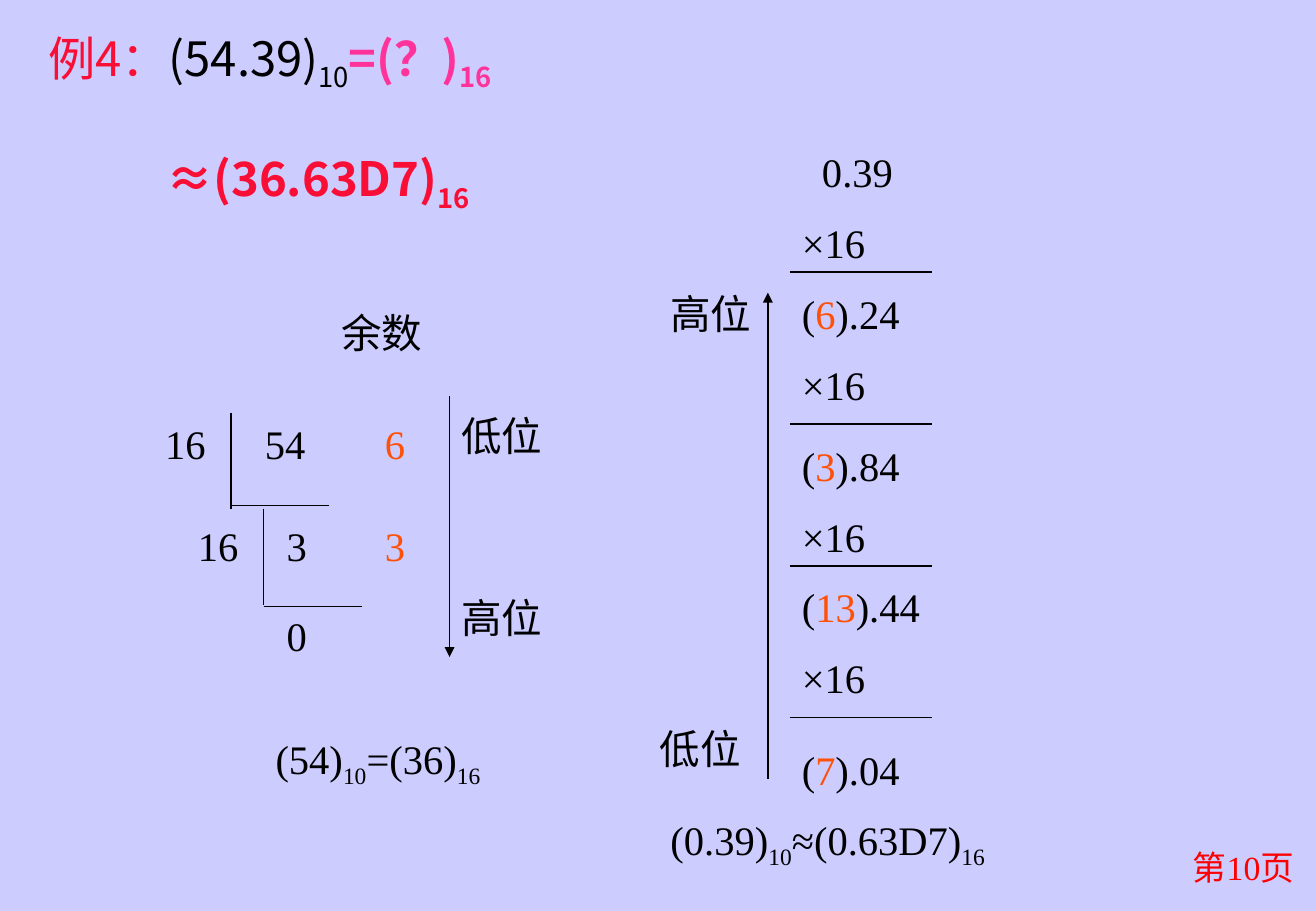
from lxml.etree import SubElement
from pptx import Presentation
from pptx.dml.color import RGBColor
from pptx.enum.text import MSO_ANCHOR, PP_ALIGN
from pptx.enum.shapes import MSO_CONNECTOR
from pptx.oxml.ns import qn
from pptx.util import Pt

COLORS = {"background": "CCCCFF", "ink": "000000", "digit": "FF5008",
          "title": "F90F36", "question": "FF3399", "page": "FF0000"}
SERIF = "Times New Roman"
SANS = "Noto Sans CJK SC"


def write_span(para, text, size=24, font=SERIF, color="ink", bold=False, sub=False):
    span = para.add_run()
    span.text = text
    span.font.size = Pt(size)
    span.font.name = font
    span.font.bold = bold
    span.font.color.rgb = RGBColor.from_string(COLORS[color])
    properties = span._r.get_or_add_rPr()
    SubElement(properties, qn("a:ea")).set("typeface", SANS)
    if sub:
        properties.set("baseline", "-25000")


class Board:
    """Holds the slide and the style shared by its texts and lines."""

    def __init__(self, page):
        self.page = page
        fill = page.background.fill
        fill.solid()
        fill.fore_color.rgb = RGBColor.from_string(COLORS["background"])

    def text(self, left, top, width, *paragraphs, height=36, align=PP_ALIGN.LEFT,
             anchor=MSO_ANCHOR.TOP, indent=0, **style):
        """Each paragraph is a string or a list of (string, format) spans."""
        box = self.page.shapes.add_textbox(Pt(left), Pt(top), Pt(width), Pt(height))
        frame = box.text_frame
        frame.word_wrap = True
        frame.vertical_anchor = anchor
        for index, spans in enumerate(paragraphs):
            para = frame.add_paragraph() if index else frame.paragraphs[0]
            para.alignment = align
            if index:
                para.space_before = Pt(13.3)
            elif indent:
                para._p.get_or_add_pPr().set("marL", str(Pt(indent)))
            if isinstance(spans, str):
                spans = [(spans, {})]
            for text, changes in spans:
                write_span(para, text, **{**style, **changes})

    def line(self, x1, y1, x2, y2, arrow=False):
        line = self.page.shapes.add_connector(
            MSO_CONNECTOR.STRAIGHT, Pt(x1), Pt(y1), Pt(x2), Pt(y2))
        line.line.width = Pt(0.75)
        line.line.color.rgb = RGBColor.from_string(COLORS["ink"])
        if arrow:
            SubElement(line.line._get_or_add_ln(), qn("a:tailEnd")).set("type", "triangle")
        SubElement(line._element.spPr, qn("a:effectLst"))


def draw_headings(board):
    sub = {"sub": True}
    question = {"color": "question", "bold": True}
    board.text(21.6, 15.8, 378.7,
               [("例4：", {"color": "title"}), ("(54.39)", {}), ("10", sub),
                ("=(？)", question), ("16", {**question, **sub})],
               height=41, anchor=MSO_ANCHOR.MIDDLE, size=28, font=SANS)
    board.text(91.4, 85, 200.2, [("≈(36.63D7)", {}), ("16", sub)],
               height=41, size=28, font=SANS, color="title", bold=True)
    board.text(156.2, 431.3, 182.2,
               [("(54)", {}), ("10", sub), ("=(36)", {}), ("16", sub)])
    board.text(390.2, 479.5, 234,
               [("(0.39)", {}), ("10", sub), ("≈(0.63D7)", {}), ("16", sub)])
    board.text(611.3, 498.2, 162.7, "第10页", align=PP_ALIGN.RIGHT, size=20, color="page")


def draw_division(board):
    board.text(195.1, 179.3, 84.2, "余数")
    steps = [("54", "6", 149.8, 244.8, 244.8, 299.5),
             ("3", "3", 162.7, 305.3, 301.7, 359.3)]
    for index, (dividend, remainder, left, top, bar_top, rule) in enumerate(steps):
        shift = 19.4 * index
        bar = 136.8 + shift
        board.text(90.7 + shift, top, 51.8, "16")
        board.text(left, top, 51.8, dividend)
        board.text(221, top, 51.8, remainder, color="digit")
        board.line(bar, bar_top, bar, bar_top + 56.9)
        board.line(bar, rule, bar + 58.3, rule)
    board.text(162.7, 358.6, 51.8, "0")
    board.line(266.4, 234.7, 266.4, 389.5, arrow=True)
    board.text(266.4, 239.8, 84.2, "低位")
    board.text(266.4, 347.8, 84.2, "高位")


def draw_multiplication(board):
    left = 468
    board.text(left, 83.5, 84.2, "0.39", "×16", height=79.2, indent=12)
    steps = [("6", "24", 167.8), ("3", "84", 257.8), ("13", "44", 341.3), ("7", "04", 437.8)]
    for digit, rest, top in steps:
        product = [("(", {}), (digit, {"color": "digit"}), (f").{rest}", {})]
        if digit == steps[-1][0]:
            board.text(left, top, 84.2, product)
        else:
            board.text(left, top, 103.7, product, "×16", height=79.2)
    for rule in (161.3, 251.3, 335.5, 425.5):
        board.line(left, rule, left + 84.2, rule)
    board.line(455, 461.5, 455, 173.5, arrow=True)
    board.text(390.2, 167.8, 84.2, "高位")
    board.text(383.8, 425.5, 84.2, "低位")


def main():
    deck = Presentation()
    deck.slide_width, deck.slide_height = Pt(779.76), Pt(540)
    board = Board(deck.slides.add_slide(deck.slide_layouts[6]))
    draw_headings(board)
    draw_division(board)
    draw_multiplication(board)
    deck.save("out.pptx")


if __name__ == "__main__":
    main()
